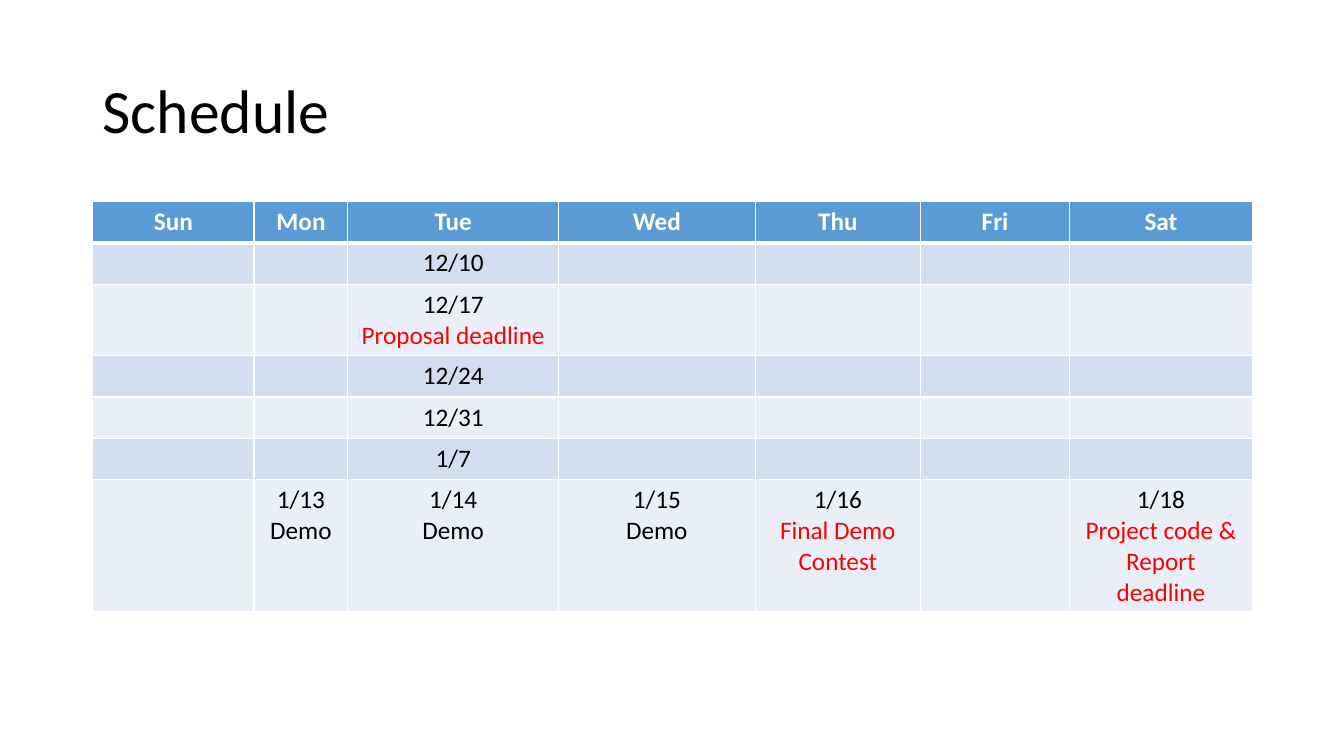
from dataclasses import dataclass

from pptx import Presentation
from pptx import util as u
from pptx.dml.color import RGBColor
from pptx.enum import text
from pptx.oxml import parse_xml
from pptx.oxml.ns import nsdecls


@dataclass(frozen=True)
class Theme:
    """Colours, type sizes and line widths of the slide."""
    font: str = "Calibri"
    ink: str = "000000"
    alert: str = "FF0000"
    paper: str = "FFFFFF"
    header: str = "5B9BD5"
    bands: tuple = ("D2DEEF", "EAEFF7")
    title_size: int = 44
    table_size: int = 18
    rule: int = 1
    header_rule: int = 3


THEME = Theme()
LEFT, WIDTH = 0.92, 11.5
DAYS = {"Sun": 1.6, "Mon": 0.93, "Tue": 2.09, "Wed": 1.95,
        "Thu": 1.64, "Fri": 1.48, "Sat": 1.81}
LINE_HEIGHT, ROW_PADDING = 0.3, 0.11


def due(label):
    """Return a line marked as a deadline."""
    return label, THEME.alert


# Each week: its height in text lines, then the entries by day.
WEEKS = [
    (1, {"Tue": ["12/10"]}),
    (2, {"Tue": ["12/17", due("Proposal deadline")]}),
    (1, {"Tue": ["12/24"]}),
    (1, {"Tue": ["12/31"]}),
    (1, {"Tue": ["1/7"]}),
    (4, {"Mon": ["1/13 Demo"],
         "Tue": ["1/14", "Demo"],
         "Wed": ["1/15", "Demo"],
         "Thu": ["1/16", due("Final Demo Contest")],
         "Sat": ["1/18", due("Project code & Report deadline")]}),
]


def write(frame, lines, *, size, color=THEME.ink, bold=False,
          align=text.PP_ALIGN.LEFT, spacing=1.0):
    """Write one paragraph per line; a (label, colour) line sets its own colour."""
    for index, line in enumerate(lines):
        label, line_color = line if isinstance(line, tuple) else (line, color)
        paragraph = frame.paragraphs[0] if index == 0 else frame.add_paragraph()
        paragraph.alignment, paragraph.line_spacing = align, spacing
        run = paragraph.add_run()
        run.text = label
        run.font.name, run.font.size, run.font.bold = THEME.font, u.Pt(size), bold
        run.font.color.rgb = RGBColor.from_string(line_color)


class SlideBuilder:
    """Holds the theme and the current slide."""

    def __init__(self, slide, theme):
        """Keep the slide and the theme to draw with."""
        self.slide, self.theme = slide, theme

    def title(self, label, left, top, width, height):
        """Add the slide title, centred vertically in its box."""
        box = self.slide.shapes.add_textbox(*map(u.Inches, (left, top, width, height)))
        frame = box.text_frame
        frame.word_wrap = True
        frame.vertical_anchor = text.MSO_ANCHOR.MIDDLE
        write(frame, [label], size=self.theme.title_size, spacing=0.9)

    def borders(self, cell, top, bottom):
        """Draw the cell's borders; the side ones have the regular width."""
        sides = {"L": self.theme.rule, "R": self.theme.rule, "T": top, "B": bottom}
        properties = cell._tc.get_or_add_tcPr()
        for side, points in sides.items():
            properties.append(parse_xml(
                f'<a:ln{side} {nsdecls("a")} w="{u.Pt(points)}"><a:solidFill>'
                f'<a:srgbClr val="{self.theme.paper}"/></a:solidFill></a:ln{side}>'))

    def cell(self, cell, lines, fill, top, bottom, **style):
        """Format one table cell and write its centred lines."""
        self.borders(cell, top, bottom)
        cell.fill.solid()
        cell.fill.fore_color.rgb = RGBColor.from_string(fill)
        write(cell.text_frame, lines, size=self.theme.table_size,
              align=text.PP_ALIGN.CENTER, **style)

    def calendar(self, days, weeks, left, top):
        """Add the calendar: a header of days and one banded row per week."""
        theme = self.theme
        heights = [ROW_PADDING + LINE_HEIGHT * count
                   for count in [1] + [count for count, _ in weeks]]
        grid = self.slide.shapes.add_table(
            len(heights), len(days), u.Inches(left), u.Inches(top),
            u.Inches(sum(days.values())), u.Inches(sum(heights))).table
        for row, height in zip(grid.rows, heights):
            row.height = u.Inches(height)
        for column, (day, width) in enumerate(days.items()):
            grid.columns[column].width = u.Inches(width)
            self.cell(grid.cell(0, column), [day], theme.header, theme.rule,
                      theme.header_rule, color=theme.paper, bold=True)
            for week, (_, entries) in enumerate(weeks):
                above = theme.rule if week else theme.header_rule
                self.cell(grid.cell(week + 1, column), entries.get(day, []),
                          theme.bands[week % 2], above, theme.rule)


def main():
    """Build and save the schedule slide."""
    deck = Presentation()
    deck.slide_width, deck.slide_height = u.Inches(13.33), u.Inches(7.5)
    builder = SlideBuilder(deck.slides.add_slide(deck.slide_layouts[6]), THEME)
    builder.title("Schedule", LEFT, 0.4, WIDTH, 1.45)
    builder.calendar(DAYS, WEEKS, LEFT, 2)
    deck.save("out.pptx")


main()
